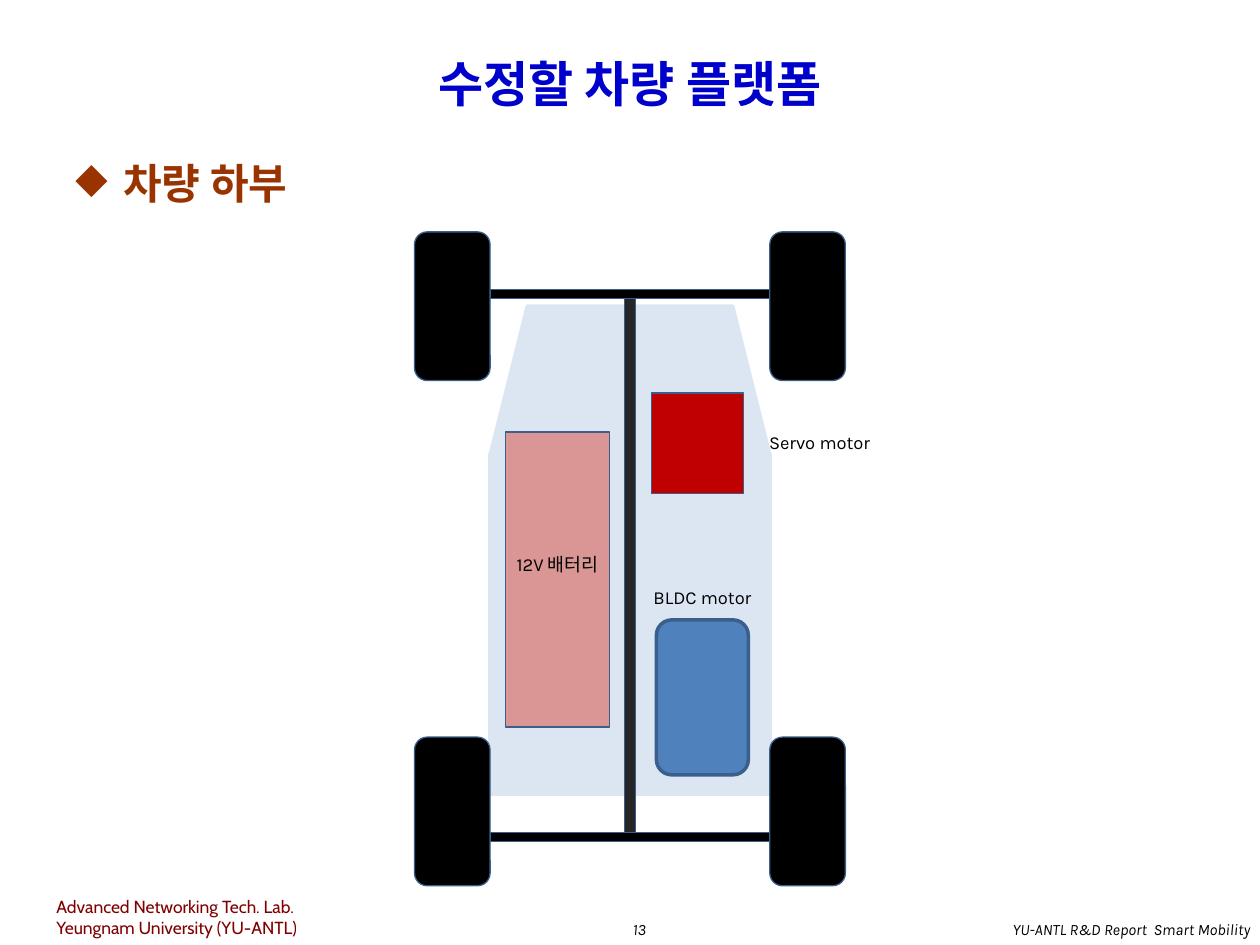
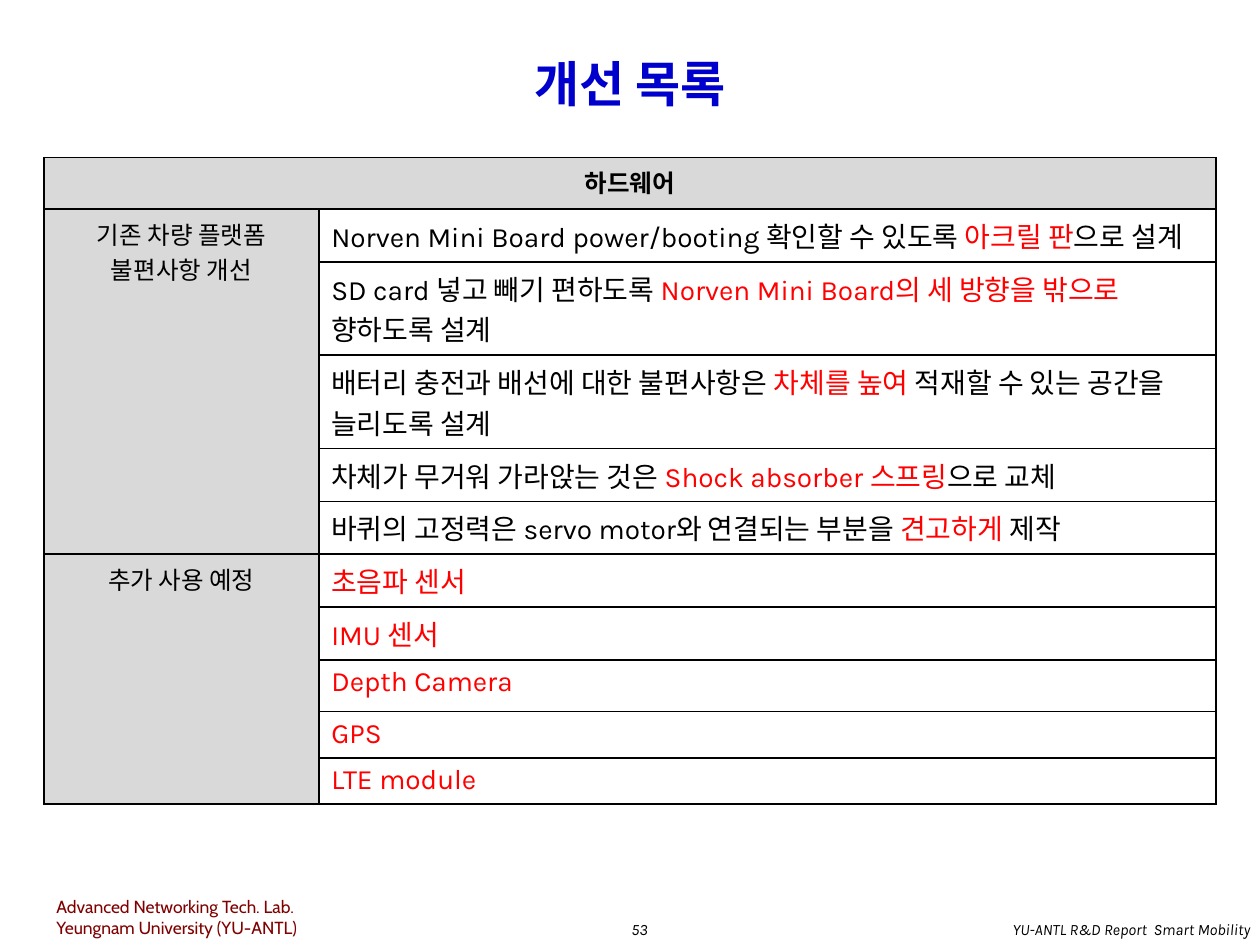
import dataclasses

import lxml.etree
import pptx
import pptx.dml.color
import pptx.enum.shapes
import pptx.enum.text
import pptx.oxml.ns
import pptx.util

ALIGN = pptx.enum.text.PP_ALIGN
ANCHOR = pptx.enum.text.MSO_ANCHOR
AUTO = pptx.enum.text.MSO_AUTO_SIZE
SHAPE = pptx.enum.shapes.MSO_SHAPE

COLUMNS, ROWS, CELL = 100, 75, pptx.util.Inches(0.1)
BLACK, RED, GREY, OUTLINE, FLOOR = "000000", "FF0000", "D9D9D9", "3A5F8C", "DCE6F2"

TITLE = {"name": "Karla", "size": 28, "bold": True, "color": "0000CC"}
TOPIC = {"name": "Karla", "size": 24, "bold": True, "color": "993300"}
LABEL = {"name": "Karla", "size": 10.5, "color": BLACK}
LAB = {"name": "Cabin", "size": 10, "color": "800000"}
FOOTER = {"name": "Karla", "size": 9, "italic": True, "color": BLACK}
GROUP = {"name": "Karla", "size": 14, "bold": False, "color": BLACK}
HEADING = GROUP | {"bold": True}
ITEM = GROUP | {"size": 16}
MARKED = ITEM | {"color": RED}

IMPROVEMENTS = [
    ("Norven Mini Board power/booting 확인할 수 있도록 ", "아크릴 판", "으로 설계"),
    ("SD card 넣고 빼기 편하도록 ", "Norven Mini Board의 세 방향을 밖으로 ", "향하도록 설계"),
    ("배터리 충전과 배선에 대한 불편사항은 ", "차체를 높여 ", "적재할 수 있는 공간을 늘리도록 설계"),
    ("차체가 무거워 가라앉는 것은 ", "Shock absorber 스프링", "으로 교체"),
    ("바퀴의 고정력은 servo motor와 연결되는 부분을 ", "견고하게", " 제작"),
]
ADDITIONS = ["초음파 센서", "IMU 센서", "Depth Camera", "GPS", "LTE module"]


@dataclasses.dataclass
class Box:
    left: float
    top: float
    width: float
    height: float

    def inside(self, left, top, width, height):
        return Box(self.left + left, self.top + top, width, height)

    def lengths(self):
        return [round(value * CELL) for value in dataclasses.astuple(self)]


def rgb(code):
    return pptx.dml.color.RGBColor.from_string(code)


def style(font, values):
    for name, value in values.items():
        if name == "color":
            font.color.rgb = rgb(value)
        else:
            setattr(font, name, pptx.util.Pt(value) if name == "size" else value)


def add_span(para, text, values):
    span = para.add_run()
    span.text = text
    style(span.font, values)


def add_text(page, box, lines, values, align=ALIGN.LEFT, **frame_values):
    frame = page.shapes.add_textbox(*box.lengths()).text_frame
    for name, value in ({"word_wrap": True} | frame_values).items():
        setattr(frame, name, value)
    for index, line in enumerate(lines):
        para = frame.add_paragraph() if index else frame.paragraphs[0]
        para.alignment = align
        add_span(para, line, values)
    return frame


def add_block(page, box, fill, kind=SHAPE.RECTANGLE, line=OUTLINE, weight=0.75):
    block = page.shapes.add_shape(kind, *box.lengths())
    block.shadow.inherit = False
    block.fill.solid()
    block.fill.fore_color.rgb = rgb(fill)
    block.line.color.rgb = rgb(line)
    block.line.width = pptx.util.Pt(weight)


def add_footer(page, box, number):
    add_text(page, box.inside(3.5, 0, 21.4, 4.4),
             ["Advanced Networking Tech. Lab.", "Yeungnam University (YU-ANTL)"],
             LAB, auto_size=AUTO.SHAPE_TO_FIT_TEXT)
    add_text(page, box.inside(48.8, 1.9, 3.9, 2.5), [number], FOOTER, ALIGN.CENTER,
             word_wrap=False)
    add_text(page, box.inside(65.9, 1.9, 34.3, 2.5), ["YU-ANTL R&D Report  Smart Mobility"],
             FOOTER, ALIGN.RIGHT)


def add_page(deck, title, number):
    page = deck.slides.add_slide(deck.slide_layouts[6])
    whole = Box(0, 0, COLUMNS, ROWS)
    add_footer(page, whole.inside(0, 70.6, COLUMNS, 4.4), number)
    add_text(page, whole.inside(5, 3, 90, 7.2), [title], TITLE, ALIGN.CENTER,
             vertical_anchor=ANCHOR.MIDDLE)
    return page, whole


def add_topic(page, box, text):
    para = add_text(page, box, [text], TOPIC).paragraphs[0]
    properties = para._p.get_or_add_pPr()
    properties.set("marL", str(pptx.util.Inches(0.38)))
    properties.set("indent", str(-pptx.util.Inches(0.38)))
    bullet = lxml.etree.SubElement(properties, pptx.oxml.ns.qn("a:buChar"))
    bullet.set("char", "◆")


def add_chassis(page, box):
    wheel_width, wheel_height = 6, 11.8
    inner = box.width - 2 * wheel_width
    floor = box.inside(wheel_width, 5.9, inner, 38.7)
    nose = 11.8
    add_block(page, floor.inside(0, nose, inner, floor.height - nose), FLOOR,
              line=FLOOR, weight=2)
    add_block(page, floor.inside(0, 0, inner, nose), FLOOR, SHAPE.TRAPEZOID, FLOOR, 2)
    for top in (0, box.height - wheel_height):
        for left in (0, box.width - wheel_width):
            add_block(page, box.inside(left, top, wheel_width, wheel_height), BLACK,
                      SHAPE.ROUNDED_RECTANGLE)
    add_block(page, box.inside(box.width / 2 - 0.45, 4.9, 0.9, 43.1), "262626")
    for top in (4.6, 47.7):
        add_block(page, box.inside(wheel_width, top, inner, 0.7), BLACK)
    add_block(page, box.inside(7.2, 15.9, 8.3, 23.4), "D99694")
    add_block(page, box.inside(18.8, 12.8, 7.3, 8), "C00000")
    add_block(page, box.inside(19.2, 30.8, 7.3, 12.3), "4F81BD",
              SHAPE.ROUNDED_RECTANGLE, weight=2)
    for text, left, top in (("12V 배터리", 4.4, 25), ("Servo motor", 25.2, 15.3),
                            ("BLDC motor", 15.9, 27.6)):
        add_text(page, box.inside(left, top, 13.9, 2.8), [text], LABEL, ALIGN.CENTER)


def fill_cell(cell, spans, align=ALIGN.LEFT, fill=None):
    para = cell.text_frame.paragraphs[0]
    para.alignment = align
    for text, values in spans:
        add_span(para, text, values)
    if fill:
        cell.fill.solid()
        cell.fill.fore_color.rgb = rgb(fill)
    else:
        cell.fill.background()


def add_borders(cell):
    properties = cell._tc.get_or_add_tcPr()
    for side in ("lnL", "lnR", "lnT", "lnB"):
        line = lxml.etree.SubElement(properties, pptx.oxml.ns.qn(f"a:{side}"))
        line.set("w", str(pptx.util.Pt(1)))
        solid = lxml.etree.SubElement(line, pptx.oxml.ns.qn("a:solidFill"))
        color = lxml.etree.SubElement(solid, pptx.oxml.ns.qn("a:srgbClr"))
        color.set("val", BLACK)


def add_hardware_table(page, box):
    widths = (21.8, box.width - 21.8)
    heights = [4.1, 4.2, 7.4, 7.4] + [4.2] * 4 + [4.1, 3.6, 3.6]
    table = page.shapes.add_table(len(heights), len(widths), *box.lengths()).table
    table.first_row = table.horz_banding = False
    for column, width in zip(table.columns, widths):
        column.width = round(width * CELL)
    for row, height in zip(table.rows, heights):
        row.height = round(height * CELL)
    for cell in table.iter_cells():
        add_borders(cell)

    table.cell(0, 0).merge(table.cell(0, 1))
    fill_cell(table.cell(0, 0), [("하드웨어", HEADING)], ALIGN.CENTER, GREY)
    items = [list(zip(pieces, (ITEM, MARKED, ITEM))) for pieces in IMPROVEMENTS]
    additions = [[(text, MARKED)] for text in ADDITIONS]
    first = 1
    for name, group in (("기존 차량 플랫폼 불편사항 개선", items), ("추가 사용 예정", additions)):
        table.cell(first, 0).merge(table.cell(first + len(group) - 1, 0))
        fill_cell(table.cell(first, 0), [(name, GROUP)], ALIGN.CENTER, GREY)
        for index, spans in enumerate(group, first):
            fill_cell(table.cell(index, 1), spans)
        first += len(group)


def main():
    deck = pptx.Presentation()
    deck.slide_width, deck.slide_height = COLUMNS * CELL, ROWS * CELL

    page, whole = add_page(deck, "수정할 차량 플랫폼", "13")
    add_topic(page, whole.inside(5, 12, 90, 54.9), "차량 하부")
    add_chassis(page, whole.inside(32.9, 18.4, 34.2, 51.9))

    page, whole = add_page(deck, "개선 목록", "53")
    add_hardware_table(page, whole.inside(3.5, 12.5, 93, 51.2))

    deck.save("out.pptx")


if __name__ == "__main__":
    main()
